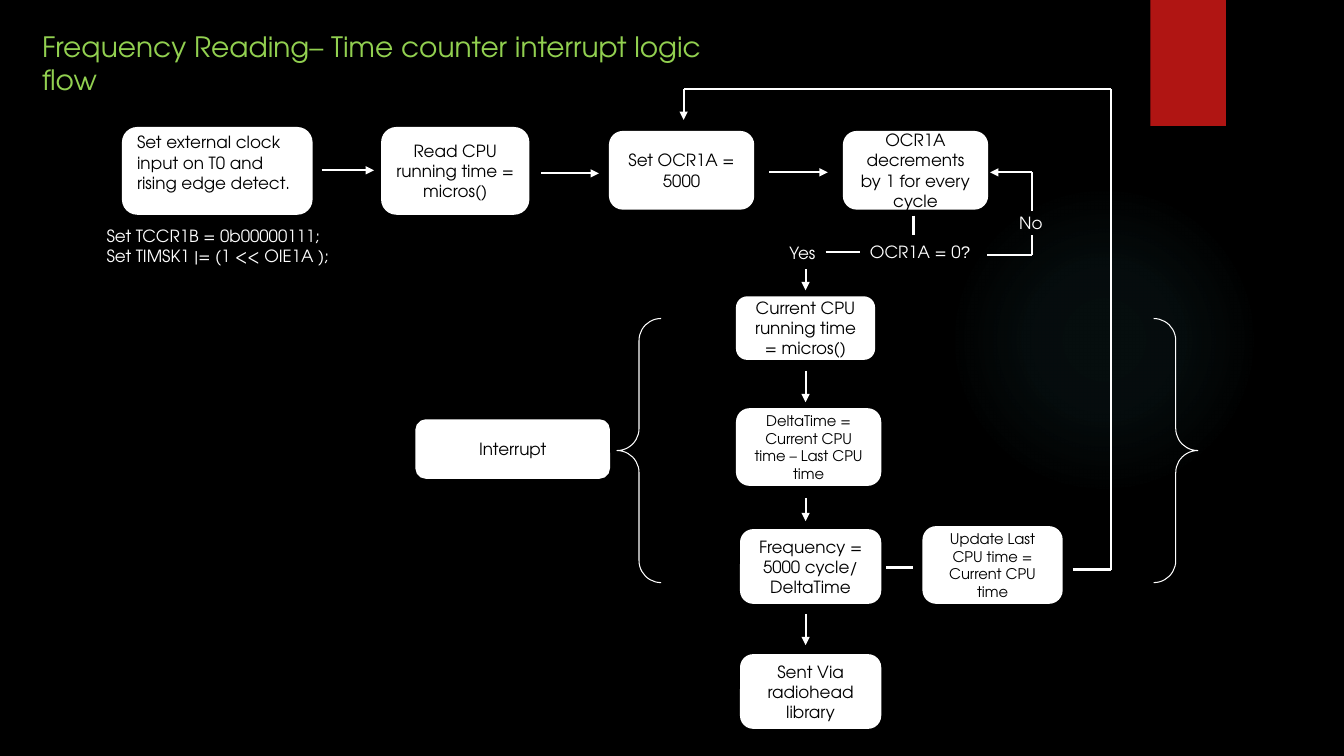
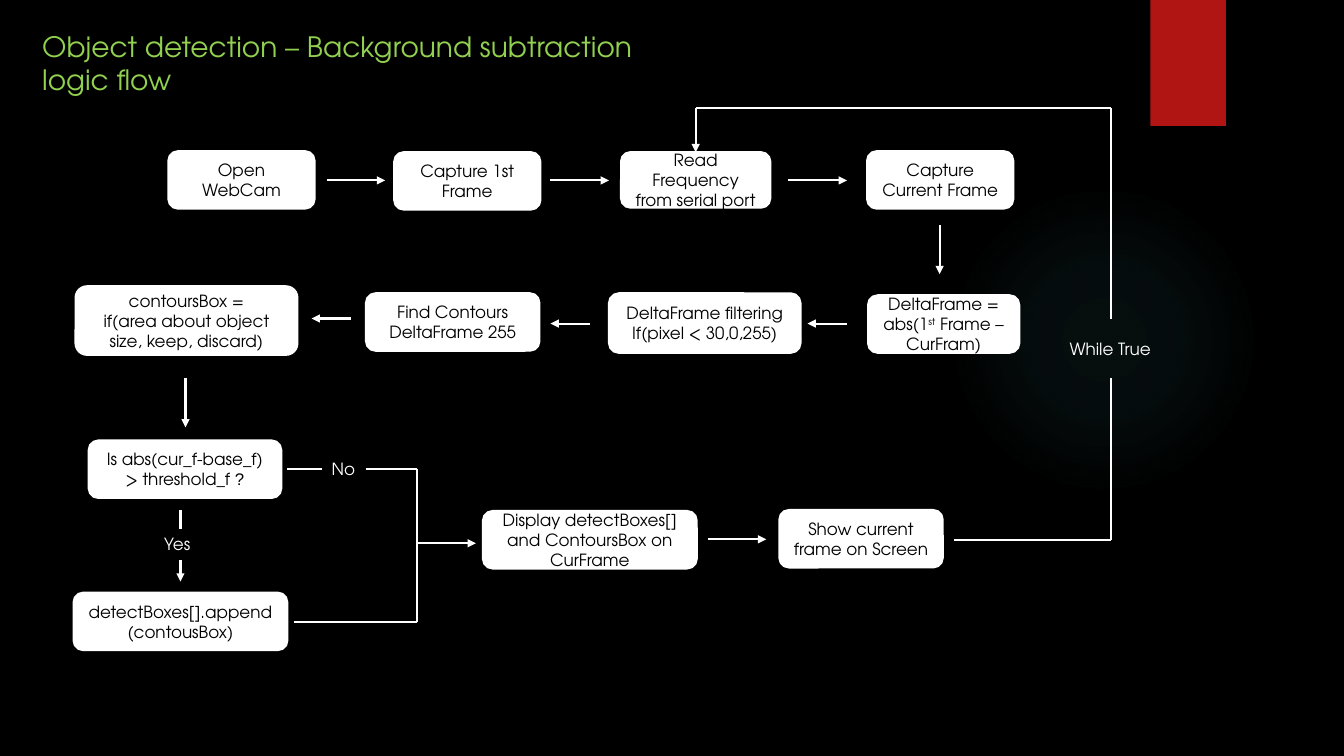
from dataclasses import dataclass
from itertools import pairwise

from lxml.etree import SubElement
from pptx import Presentation
from pptx.dml.color import RGBColor
from pptx.enum.shapes import MSO_CONNECTOR as Connector, MSO_SHAPE as Shape
from pptx.enum.text import MSO_ANCHOR as Anchor, PP_ALIGN as Align
from pptx.oxml import parse_xml
from pptx.oxml.ns import nsdecls, qn
from pptx.util import Pt

PX = 9144  # EMU in one px: 100 px make an inch


@dataclass(frozen=True)
class Theme:
    background: str = "000000"
    accent: str = "B01513"
    glow: str = "50B9C1"
    title: str = "92D050"
    light: str = "FFFFFF"
    dark: str = "000000"
    font: str = "TeX Gyre Adventor"
    symbol_font: str = "Arial"
    title_size: float = 20
    body_size: float = 12
    small_size: float = 10.5
    line_width: float = 1.5
    thin_width: float = 0.75


THEME = Theme()


@dataclass(frozen=True)
class Span:
    text: str
    font: str = THEME.font
    raised: bool = False


def px(*lengths):
    return [length * PX for length in lengths]


def rgb(color):
    return RGBColor.from_string(color)


def write(frame, paragraphs, color, size, align=Align.LEFT):
    """Fill a frame; a paragraph is a string or a list of spans."""
    frame.word_wrap = True
    for index, content in enumerate(paragraphs):
        para = frame.paragraphs[0] if index == 0 else frame.add_paragraph()
        para.alignment = align
        for part in [Span(content)] if isinstance(content, str) else content:
            span = para.add_run()
            span.text = part.text
            span.font.name = part.font
            span.font.size = Pt(size)
            span.font.color.rgb = rgb(color)
            if part.raised:
                span.font._element.set("baseline", "30000")


def add_plain_shape(page, kind, place, fill=None, line=None, width=THEME.line_width):
    shape = page.shapes.add_shape(kind, *px(*place))
    shape.shadow.inherit = False
    if fill:
        shape.fill.solid()
        shape.fill.fore_color.rgb = rgb(fill)
    else:
        shape.fill.background()
    if line:
        shape.line.color.rgb = rgb(line)
        shape.line.width = Pt(width)
    else:
        shape.line.fill.background()
    return shape


def add_glow(page):
    """Faint round light that fades out from its centre."""
    glow = add_plain_shape(page, Shape.OVAL, (941, 183, 308, 308))
    stops = "".join(
        f'<a:gs pos="{place}000"><a:srgbClr val="{THEME.glow}">'
        f'<a:alpha val="{alpha}000"/></a:srgbClr></a:gs>'
        for place, alpha in ((0, 7), (36, 6), (69, 0))
    )
    gradient = parse_xml(
        f'<a:gradFill {nsdecls("a")}><a:gsLst>{stops}</a:gsLst><a:path path="circle">'
        '<a:fillToRect l="50000" t="50000" r="50000" b="50000"/></a:path></a:gradFill>'
    )
    properties = glow._element.spPr
    properties.replace(properties.find(qn("a:noFill")), gradient)


def add_text(page, place, *paragraphs, color=THEME.light, size=THEME.body_size):
    box = page.shapes.add_textbox(*px(*place))
    write(box.text_frame, paragraphs, color, size)


def add_page(deck, title):
    page = deck.slides.add_slide(deck.slide_layouts[6])
    page.background.fill.solid()
    page.background.fill.fore_color.rgb = rgb(THEME.background)
    add_glow(page)
    add_plain_shape(page, Shape.RECTANGLE, (1141, 0, 75, 125), THEME.accent)
    add_text(page, (32, 24, 676, 44), title, color=THEME.title, size=THEME.title_size)
    return page


def add_card(page, place, *paragraphs, size=THEME.body_size, align=Align.CENTER):
    card = add_plain_shape(page, Shape.ROUNDED_RECTANGLE, place, THEME.light, THEME.light)
    card.text_frame.vertical_anchor = Anchor.MIDDLE
    write(card.text_frame, paragraphs, THEME.dark, size, align)
    return card


def add_route(page, *points, arrow=True):
    """Join the points by straight lines and return the last one."""
    for start, end in pairwise(points):
        line = page.shapes.add_connector(Connector.STRAIGHT, *px(*start, *end))
        line.line.color.rgb = rgb(THEME.light)
        line.line.width = Pt(THEME.line_width)
        SubElement(line._element.spPr, qn("a:effectLst"))
    if arrow:
        outline = line._element.spPr.find(qn("a:ln"))
        SubElement(outline, qn("a:tailEnd"), type="triangle")
    return line


def build_frequency_page(deck):
    page = add_page(deck, "Frequency Reading– Time counter interrupt logic flow")

    clock = add_card(page, (122, 127, 187, 85),
                     "Set external clock input on T0 and rising edge detect.", align=Align.LEFT)
    clock.text_frame.vertical_anchor = Anchor.TOP
    clock.text_frame.margin_top = 0
    for place, text in (
        ((379, 127, 145, 85), "Read CPU running time = micros()"),
        ((605, 131, 142, 76), "Set OCR1A = 5000"),
        ((837, 131, 142, 76), "OCR1A decrements by 1 for every cycle"),
        ((413, 417, 191, 57), "Interrupt"),
        ((731, 295, 136, 61), "Current CPU running time = micros()"),
        ((735, 526, 138, 72), "Frequency = 5000 cycle/ DeltaTime"),
        ((735, 650, 138, 72), "Sent Via radiohead library"),
    ):
        add_card(page, place, text)
    for place, text in (
        ((731, 406, 142, 75), "DeltaTime = Current CPU time – Last CPU time"),
        ((916, 523, 137, 75), "Update Last CPU time = Current CPU time"),
    ):
        add_card(page, place, text, size=THEME.small_size)

    add_text(page, (96, 219, 256, 50),
             "Set TCCR1B = 0b00000111;", "Set TIMSK1 |= (1 << OIE1A );")
    add_text(page, (773, 236, 52, 30), "Yes")
    add_text(page, (1001, 206, 52, 30), "No")
    add_text(page, (853, 235, 142, 30), [Span("OCR1A = 0"), Span("?", THEME.symbol_font)])
    add_plain_shape(page, Shape.DOUBLE_BRACE, (612, 316, 576, 262),
                    line=THEME.light, width=THEME.thin_width)

    for left, right, y in ((319, 371, 169), (537, 594, 172), (763, 821, 171)):
        add_route(page, (left, y), (right, y))
    spine = 799
    for top, bottom in ((267, 288), (368, 399), (494, 517), (609, 640)):
        add_route(page, (spine, top), (spine, bottom))
    add_route(page, (906, 214), (906, 233), arrow=False)
    add_route(page, (819, 250), (853, 250), arrow=False)
    add_route(page, (879, 563), (906, 563), arrow=False)
    add_route(page, (979, 253), (1024, 253), (1024, 233), arrow=False)
    add_route(page, (1024, 209), (1024, 171), (982, 171))
    add_route(page, (1064, 565), (1102, 565), (1102, 88), (678, 88), (678, 119))


def build_detection_page(deck):
    page = add_page(deck, "Object detection – Background subtraction logic flow")

    read_frequency = add_card(page, (616, 151, 148, 55), "Read Frequency from serial port")
    for place, *paragraphs in (
        ((167, 150, 145, 57), "Open WebCam"),
        ((391, 151, 145, 57), "Capture 1st Frame"),
        ((860, 150, 145, 57), "Capture Current Frame"),
        ((861, 293, 150, 57),
         [Span("DeltaFrame = abs(1"), Span("st", raised=True), Span(" Frame – CurFram)")]),
        ((604, 291, 190, 59), "DeltaFrame filtering", "If(pixel < 30,0,255)"),
        ((363, 291, 172, 57), "Find Contours DeltaFrame 255"),
        ((75, 284, 220, 68), "contoursBox =", "if(area about object size, keep, discard)"),
        ((88, 437, 191, 57),
         [Span("Is abs(cur_f-base_f) > threshold_f "), Span("?", THEME.symbol_font)]),
        ((73, 588, 212, 57), "detectBoxes[].append(contousBox)"),
        ((479, 507, 212, 57), "Display detectBoxes[] and ContoursBox on CurFrame"),
        ((773, 506, 162, 57), "Show current frame on Screen"),
    ):
        add_card(page, place, *paragraphs)

    add_text(page, (153, 525, 52, 30), "Yes")
    add_text(page, (319, 450, 52, 30), "No")
    add_text(page, (1051, 331, 103, 30), "While True")

    for left, y in ((324, 179), (546, 179), (782, 179), (414, 539), (702, 535)):
        add_route(page, (left, y), (left + 58, y))
    for right, y in ((840, 321), (585, 321), (348, 316)):
        add_route(page, (right, y), (right - 39, y))
    for x, top in ((932, 223), (184, 375)):
        add_route(page, (x, top), (x, top + 49))
    add_route(page, (179, 506), (179, 525), arrow=False)
    add_route(page, (179, 556), (179, 577))
    add_route(page, (285, 465), (319, 465), arrow=False)
    add_route(page, (363, 465), (414, 465), (414, 617), (292, 617), arrow=False)
    add_route(page, (946, 536), (1102, 536), (1102, 375), arrow=False)
    loop_back = add_route(page, (1102, 316), (1102, 107), (690, 107), (690, 151))
    loop_back.end_connect(read_frequency, 0)


def main():
    deck = Presentation()
    deck.slide_width, deck.slide_height = px(1333, 750)
    build_frequency_page(deck)
    build_detection_page(deck)
    deck.save("out.pptx")


if __name__ == "__main__":
    main()
